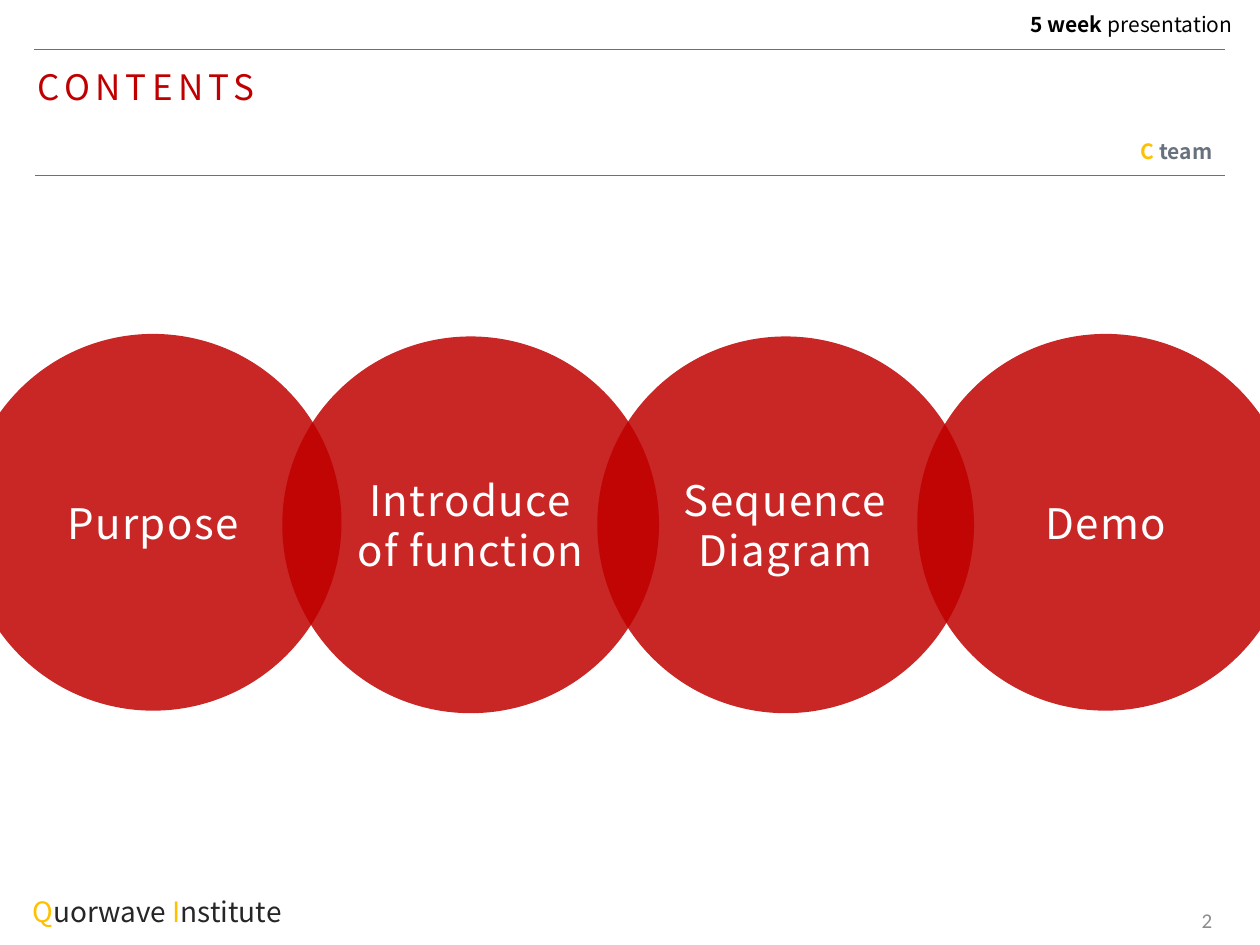
from dataclasses import dataclass

from lxml.etree import SubElement
from pptx import Presentation
from pptx.dml.color import RGBColor
from pptx.enum.shapes import MSO_CONNECTOR as Connector, MSO_SHAPE as Shape
from pptx.enum.text import MSO_ANCHOR as Anchor, PP_ALIGN as Align
from pptx.oxml.ns import qn
from pptx.util import Inches, Pt


@dataclass(frozen=True)
class Theme:
    font: str = "Noto Sans CJK KR"
    number_font: str = "Calibri"
    red: str = "C00000"
    gold: str = "FFC000"
    slate: str = "68727E"
    dark: str = "262626"
    black: str = "000000"
    white: str = "FFFFFF"
    gray: str = "8C8C8C"
    small: int = 12
    footer: int = 16
    title: int = 20
    topic: int = 24
    rule_width: float = 0.25
    circle_alpha: int = 85


class Builder:
    def __init__(self, page, theme):
        self.page = page
        self.theme = theme

    def style(self, span, size, color, bold=False, font=None, spacing=0):
        span.font.name = font or self.theme.font
        span.font.size = Pt(size)
        span.font.bold = bold
        span.font.color.rgb = RGBColor.from_string(color)
        if spacing:
            span.font._element.set("spc", str(round(spacing * 100)))

    def rule(self, left, right, top):
        line = self.page.shapes.add_connector(
            Connector.STRAIGHT, Inches(left), Inches(top), Inches(right), Inches(top))
        line.line.color.rgb = RGBColor.from_string(self.theme.slate)
        line.line.width = Pt(self.theme.rule_width)
        SubElement(line._element.spPr, qn("a:effectLst"))

    def text(self, place, spans, size, align=Align.LEFT, line_spacing=None,
             anchor=Anchor.TOP, **look):
        """Each span is (text, color, bold)."""
        box = self.page.shapes.add_textbox(*map(Inches, place))
        box.text_frame.word_wrap = True
        box.text_frame.vertical_anchor = anchor
        para = box.text_frame.paragraphs[0]
        para.alignment = align
        para.line_spacing = line_spacing
        for words, color, bold in spans:
            span = para.add_run()
            span.text = words
            self.style(span, size, color, bold, **look)

    def circle(self, left, top, diameter, words):
        theme = self.theme
        circle = self.page.shapes.add_shape(
            Shape.OVAL, *map(Inches, (left, top, diameter, diameter)))
        circle.shadow.inherit = False
        circle.line.fill.background()
        circle.fill.solid()
        circle.fill.fore_color.rgb = RGBColor.from_string(theme.red)
        color = circle._element.spPr.find(qn("a:solidFill"))[0]
        SubElement(color, qn("a:alpha")).set("val", str(theme.circle_alpha * 1000))
        frame = circle.text_frame
        frame.word_wrap = True
        frame.vertical_anchor = Anchor.MIDDLE
        frame.text = words
        para = frame.paragraphs[0]
        para.alignment = Align.CENTER
        self.style(para.runs[0], theme.topic, theme.white, spacing=0.8)


def main():
    deck = Presentation()
    deck.slide_width, deck.slide_height = Inches(10), Inches(7.5)
    theme = Theme()
    build = Builder(deck.slides.add_slide(deck.slide_layouts[6]), theme)

    # Header
    build.rule(0.27, 9.72, 0.39)
    build.rule(0.28, 9.72, 1.39)
    build.text((0.2, 0.51, 2.44, 0.4), [("CONTENTS", theme.red, False)],
               theme.title, line_spacing=0.9, spacing=3)
    build.text((7.83, 0.08, 2.05, 0.26),
               [("5 week ", theme.black, True), ("presentation", theme.black, False)],
               theme.small, Align.RIGHT, 0.8)
    build.text((7.67, 1.09, 2.05, 0.26),
               [("C", theme.gold, True), (" team", theme.slate, True)],
               theme.small, Align.RIGHT, 0.8)

    # Footer
    build.text((0.16, 6.92, 4.42, 0.46),
               [("Q", theme.gold, False), ("uorwave ", theme.dark, False),
                ("I", theme.gold, False), ("nstitute", theme.dark, False)],
               theme.footer, line_spacing=1.5)
    build.text((7.47, 7.1, 2.25, 0.4), [("2", theme.gray, False)], theme.small,
               Align.RIGHT, anchor=Anchor.MIDDLE, font=theme.number_font)

    # Overlapping topic circles
    for left, top, words in (
        (-0.28, 2.65, "Purpose"),
        (2.24, 2.67, "Introduce of function"),
        (4.74, 2.67, "Sequence Diagram"),
        (7.28, 2.65, "Demo"),
    ):
        build.circle(left, top, 2.99, words)

    deck.save("out.pptx")


if __name__ == "__main__":
    main()
